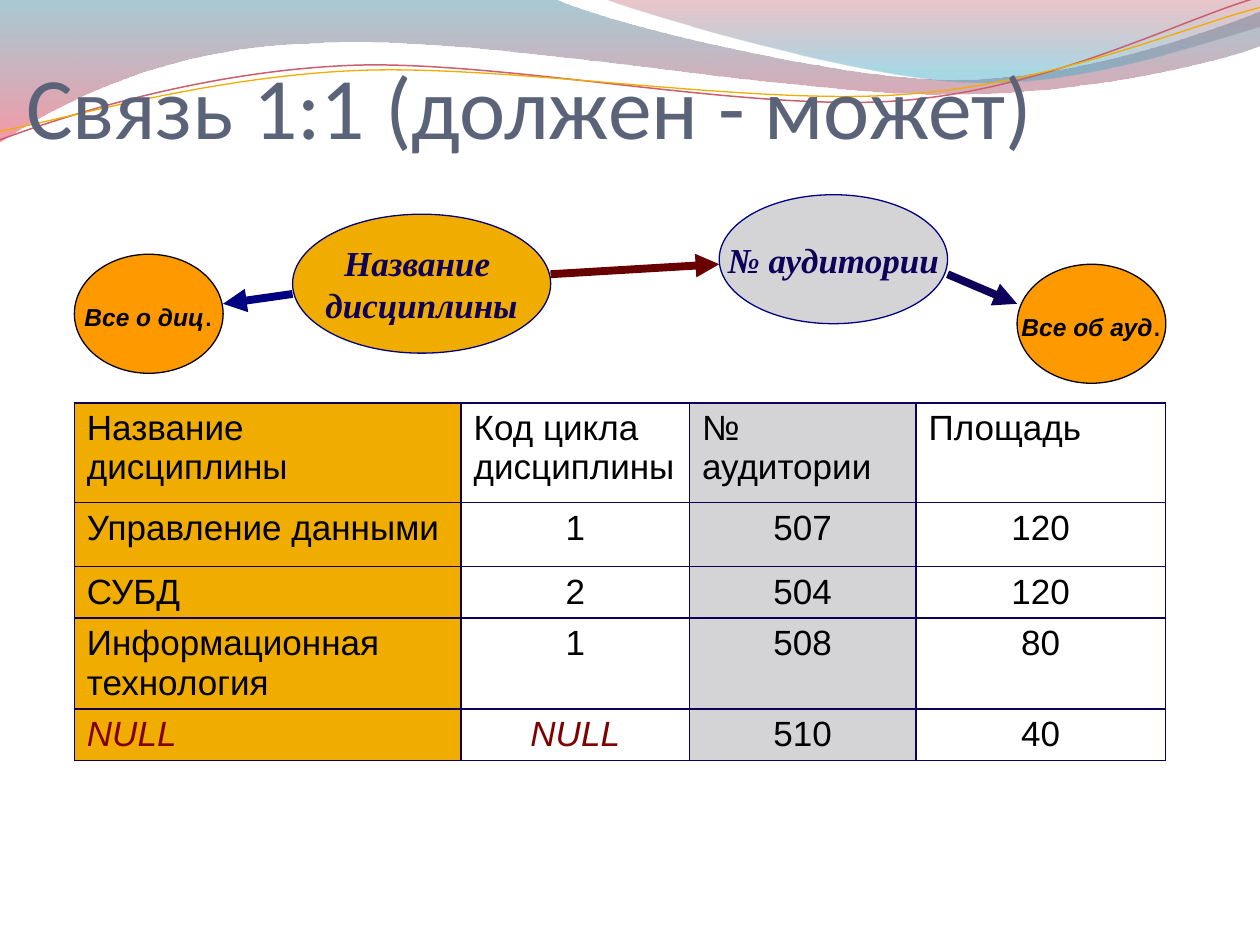
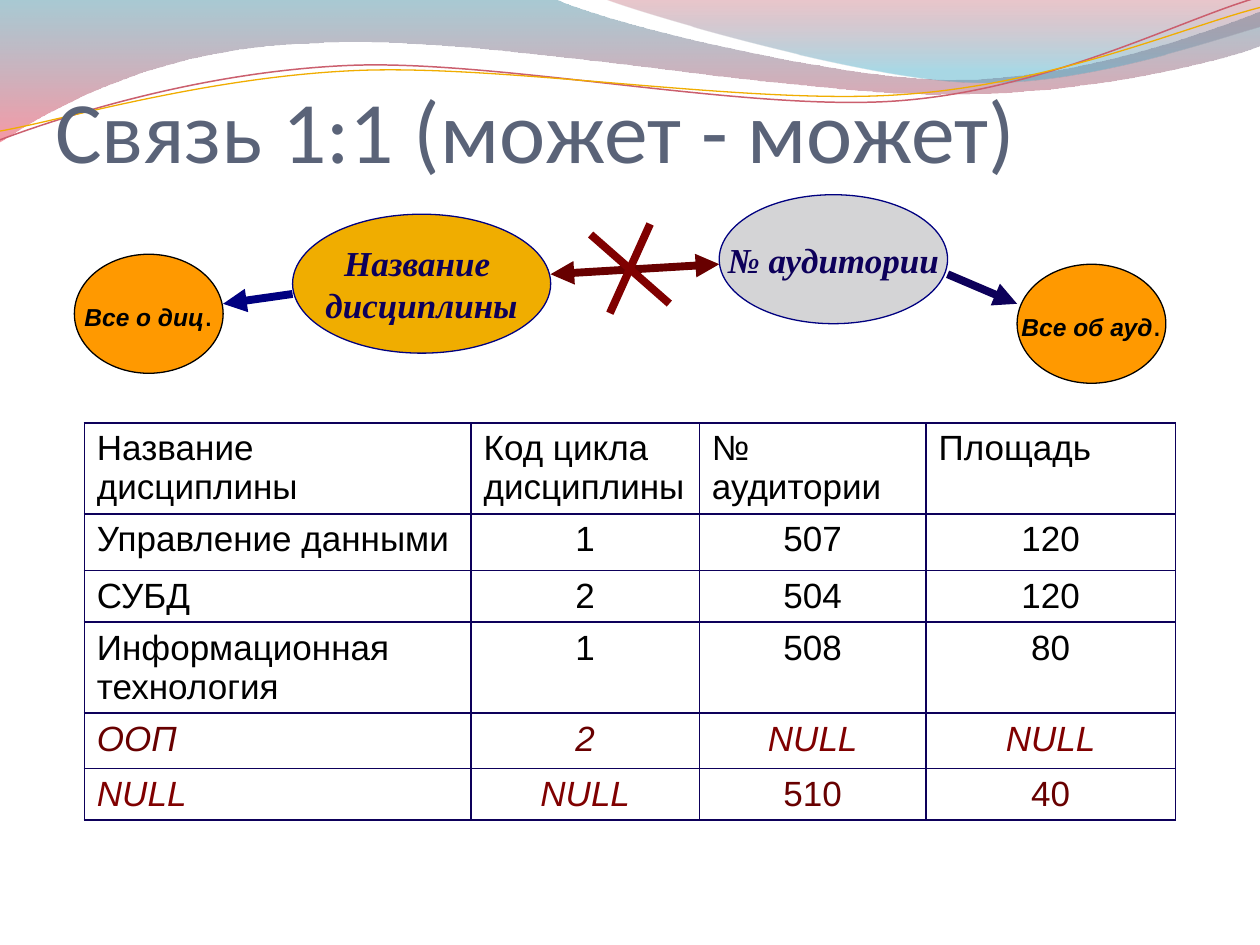
import math

import pptx
import pptx.dml.color
import pptx.enum.dml
import pptx.enum.shapes
import pptx.enum.text
import pptx.oxml
import pptx.oxml.ns
import pptx.util

Pt = pptx.util.Pt
ALIGN = pptx.enum.text.PP_ALIGN
ANCHOR = pptx.enum.text.MSO_ANCHOR
SHAPE = pptx.enum.shapes.MSO_SHAPE
NS = pptx.oxml.ns.nsdecls("a")

GOLD, GREY, ORANGE = "F0AD00", "D4D4D6", "FF9900"
BLACK, INK, NAVY = "000000", "0D005A", "000080"
MAROON, RED, SLATE = "680000", "800000", "5A6378"

TITLE = {"size": Pt(50), "name": "Calibri"}
KEY = {"size": Pt(20), "name": "Times New Roman", "bold": True, "italic": True}
NOTE = {"size": Pt(14), "name": "Arial", "bold": True, "italic": True}
DOT = {"size": Pt(18), "name": "Arial", "bold": False, "italic": False}

BANDS = [
    ([(0, 0), (316.8, -0.7), (342.7, 12.2, 478, 45.4, 545.8, 45.4),
      (614.2, 45.4, 689.8, 18.7, 720, 6.5), (720.7, 25.9),
      (707.8, 31.7, 626.4, 54.7, 537.1, 54), (447.8, 54, 275, 20.2, 185, 24.5),
      (92.9, 25.9, 33.1, 59.8, -0.7, 81.4), (0, 0)],
     [(0, "3F8A9F", 45), (1, "EF445B", 55)]),
    ([(344.9, -0.7), (366.5, 7.9, 491, 44.6, 553.7, 46.8),
      (616.3, 49.7, 691.9, 23, 720, 15.1), (720, 0), (344.9, -0.7)],
     [(0, "B84253", 30), (0.8, "42ABC7", 45)]),
]
WAVES = [
    ([(0, 79.9), (34.6, 67, 113.8, 41, 199.4, 37.4),
      (284.4, 33.8, 427, 64.1, 513.4, 57.6),
      (599.8, 51.1, 675.4, 10.8, 718.6, -1.4)], (359.3, 41.4), "CB5F6E", 0.85),
    ([(0, 74.9), (33.8, 69.1, 118.1, 43.9, 203.8, 40.3),
      (290.2, 36.7, 429.8, 60.5, 516.2, 54),
      (601.9, 48.2, 677.5, 15.1, 720, 4.3)], (360, 42.5), GOLD, 0.75),
]
TILT = 2.7

NULL = ("NULL", RED, True)
COLS = [221, 130.5, 129.5, 142.5]
ROWS = [
    ["Название дисциплины", "Код цикла дисциплины", "№ аудитории", "Площадь"],
    ["Управление данными", "1", "507", "120"],
    ["СУБД", "2", "504", "120"],
    ["Информационная технология", "1", "508", "80"],
]


def tint(code):
    """Turn a hex string into a colour."""
    return pptx.dml.color.RGBColor.from_string(code)


def apply(item, form):
    """Set each attribute of item from the dict form."""
    for name, value in form.items():
        setattr(item, name, value)


def paint(shape, fill, edge, width):
    """Give a shape its flat fill and outline, without shadow."""
    shape.shadow.inherit = False
    if fill:
        shape.fill.solid()
        shape.fill.fore_color.rgb = tint(fill)
    else:
        shape.fill.background()
    if edge:
        shape.line.color.rgb = tint(edge)
        shape.line.width = Pt(width)
    else:
        shape.line.fill.background()


def write(para, text, form, code):
    """Add one run of text to a paragraph."""
    run = para.add_run()
    run.text = text
    apply(run.font, form)
    run.font.color.rgb = tint(code)


def turn(dot, hub, angle):
    """Rotate a point clockwise about a hub."""
    cos, sin = math.cos(math.radians(angle)), math.sin(math.radians(angle))
    x, y = dot[0] - hub[0], dot[1] - hub[1]
    return hub[0] + x * cos - y * sin, hub[1] + x * sin + y * cos


def outline(slide, track, close, hub=(0, 0), angle=0):
    """Draw a freeform whose parts of six numbers are Bezier curves."""
    dots = [turn(part[i:i + 2], hub, angle)
            for part in track for i in range(0, len(part), 2)]
    spots = [(Pt(x), Pt(y)) for x, y in dots]
    maker = slide.shapes.build_freeform(*spots[0], scale=1.0)
    maker.add_line_segments(spots[1:], close=close)
    shape = maker.convert_to_shape()
    legs = iter(list(shape._element.iter(pptx.oxml.ns.qn("a:lnTo"))))
    for part in track[1:]:
        group = [next(legs) for _ in range(len(part) // 2)]
        if len(group) == 3:
            curve = pptx.oxml.parse_xml(f"<a:cubicBezTo {NS}/>")
            group[0].addprevious(curve)
            for leg in group:
                curve.append(leg[0])
                leg.getparent().remove(leg)
    return shape


def add_band(slide, track, stops):
    """Draw a closed band with a clear gradient from top to bottom."""
    band = outline(slide, track, True)
    paint(band, None, None, 0)
    band.fill.gradient()
    band.fill.gradient_angle = 270
    for stop, (place, code, alpha) in zip(band.fill.gradient_stops, stops):
        stop.position = place
        stop.color.rgb = tint(code)
    marks = band._element.spPr.iter(pptx.oxml.ns.qn("a:srgbClr"))
    for mark, (place, code, alpha) in zip(marks, stops):
        mark.append(pptx.oxml.parse_xml(f'<a:alpha {NS} val="{alpha * 1000}"/>'))


def add_wave(slide, track, hub, code, width):
    """Draw a thin tilted wave."""
    wave = outline(slide, track, False, hub, TILT)
    paint(wave, None, code, width)
    wave.rotation = 360 - TILT


def add_title(slide, text, left, top):
    """Add the slide title in a box of fixed size."""
    box = slide.shapes.add_textbox(Pt(left), Pt(top), Pt(631.5), Pt(72))
    apply(box.text_frame, {
        "word_wrap": True, "vertical_anchor": ANCHOR.BOTTOM, "margin_left": 0,
        "margin_top": Pt(3.6), "margin_right": 0, "margin_bottom": 0})
    write(box.text_frame.paragraphs[0], text, TITLE, SLATE)


def add_oval(slide, area, fill, edge, lines):
    """Draw an oval with centred lines, each a list of runs."""
    oval = slide.shapes.add_shape(SHAPE.OVAL, *map(Pt, area))
    paint(oval, fill, edge, 0.75)
    frame = oval.text_frame
    apply(frame, {"word_wrap": False, "vertical_anchor": ANCHOR.MIDDLE})
    for index, runs in enumerate(lines):
        para = frame.add_paragraph() if index else frame.paragraphs[0]
        para.alignment = ALIGN.CENTER
        for text, form, code in runs:
            write(para, text, form, code)


def add_line(slide, ends, code, tips=()):
    """Draw a thick line with arrowheads at the named tips."""
    line = slide.shapes.add_connector(
        pptx.enum.shapes.MSO_CONNECTOR.STRAIGHT, *map(Pt, ends))
    line.line.color.rgb = tint(code)
    line.line.width = Pt(4.5)
    props = line._element.spPr
    for tip in tips:
        props.get_or_add_ln().append(
            pptx.oxml.parse_xml(f'<a:{tip}End {NS} type="triangle"/>'))
    props.append(pptx.oxml.parse_xml(f"<a:effectLst {NS}/>"))


def add_edges(cell):
    """Draw the four borders of a cell."""
    props = cell._tc.get_or_add_tcPr()
    for side in "LRTB":
        props.append(pptx.oxml.parse_xml(
            f'<a:ln{side} {NS} w="12700"><a:solidFill><a:srgbClr val="{INK}"/>'
            f"</a:solidFill></a:ln{side}>"))


def add_grid(slide, left, top, heights, rows, fills):
    """Add the table, with one fill or None for each column."""
    grid = slide.shapes.add_table(
        len(rows), len(COLS), Pt(left), Pt(top), Pt(sum(COLS)), Pt(sum(heights))).table
    apply(grid, {"first_row": False, "horz_banding": False})
    for col, width in zip(grid.columns, COLS):
        col.width = Pt(width)
    for r, (row, height) in enumerate(zip(rows, heights)):
        grid.rows[r].height = Pt(height)
        for c, (item, fill) in enumerate(zip(row, fills)):
            text, code, slant = (item, BLACK, False) if isinstance(item, str) else item
            cell = grid.cell(r, c)
            cell.margin_bottom = 0
            add_edges(cell)
            if fill:
                cell.fill.solid()
                cell.fill.fore_color.rgb = tint(fill)
            else:
                cell.fill.background()
            para = cell.text_frame.paragraphs[0]
            para.alignment = ALIGN.CENTER if r and c else ALIGN.LEFT
            form = {"size": Pt(20), "name": "Arial", "bold": False, "italic": slant}
            write(para, text, form, code)


def add_scheme(slide, tips):
    """Draw the four ovals and the arrows that join them."""
    add_oval(slide, (167.2, 122.4, 147.5, 79.4), GOLD, NAVY,
             [[("Название ", KEY, INK)], [("дисциплины", KEY, INK)]])
    add_oval(slide, (411, 111.3, 130.5, 73.7), GREY, NAVY,
             [[("№ аудитории", KEY, INK)]])
    for text, left, top in (("Все о диц", 42.5, 145.3), ("Все об ауд", 581.2, 151)):
        add_oval(slide, (left, top, 85, 68), ORANGE, BLACK,
                 [[(text, NOTE, BLACK), (".", DOT, BLACK)]])
    add_line(slide, (314.6, 156.7, 411, 151), MAROON, tips)
    add_line(slide, (167.2, 168, 127.5, 173.6), NAVY, ["tail"])
    add_line(slide, (541.5, 156.7, 581.2, 173.6), INK, ["tail"])


def add_page(deck, title, left, top):
    """Add a slide with its bands, waves and title."""
    slide = deck.slides.add_slide(deck.slide_layouts[6])
    for band in BANDS:
        add_band(slide, *band)
    for wave in WAVES:
        add_wave(slide, *wave)
    add_title(slide, title, left, top)
    return slide


def main():
    """Build both slides and save the deck."""
    deck = pptx.Presentation()
    apply(deck, {"slide_width": Pt(720), "slide_height": Pt(540)})

    must = add_page(deck, "Связь 1:1 (должен - может)", 15, 18)
    add_grid(must, 42.5, 230.2, [57, 36.5, 29.5, 52, 29.5],
             ROWS + [[NULL, NULL, "510", "40"]], [GOLD, None, GREY, None])
    add_scheme(must, ["tail"])

    may = add_page(deck, "Связь 1:1 (может - может)", 31.5, 31.7)
    extra = [
        [("ООП", MAROON, True), ("2", MAROON, True), NULL, NULL],
        [NULL, NULL, ("510", MAROON, False), ("40", MAROON, False)],
    ]
    add_grid(may, 48.2, 241.6, [52, 32.5, 29.5, 52, 31.5, 29.5],
             ROWS + extra, [None] * len(COLS))
    add_scheme(may, ["head", "tail"])
    for ends in ((337.5, 134, 382.5, 173.5), (371.5, 128, 348.5, 179)):
        add_line(may, ends, RED)

    deck.save("out.pptx")


main()
